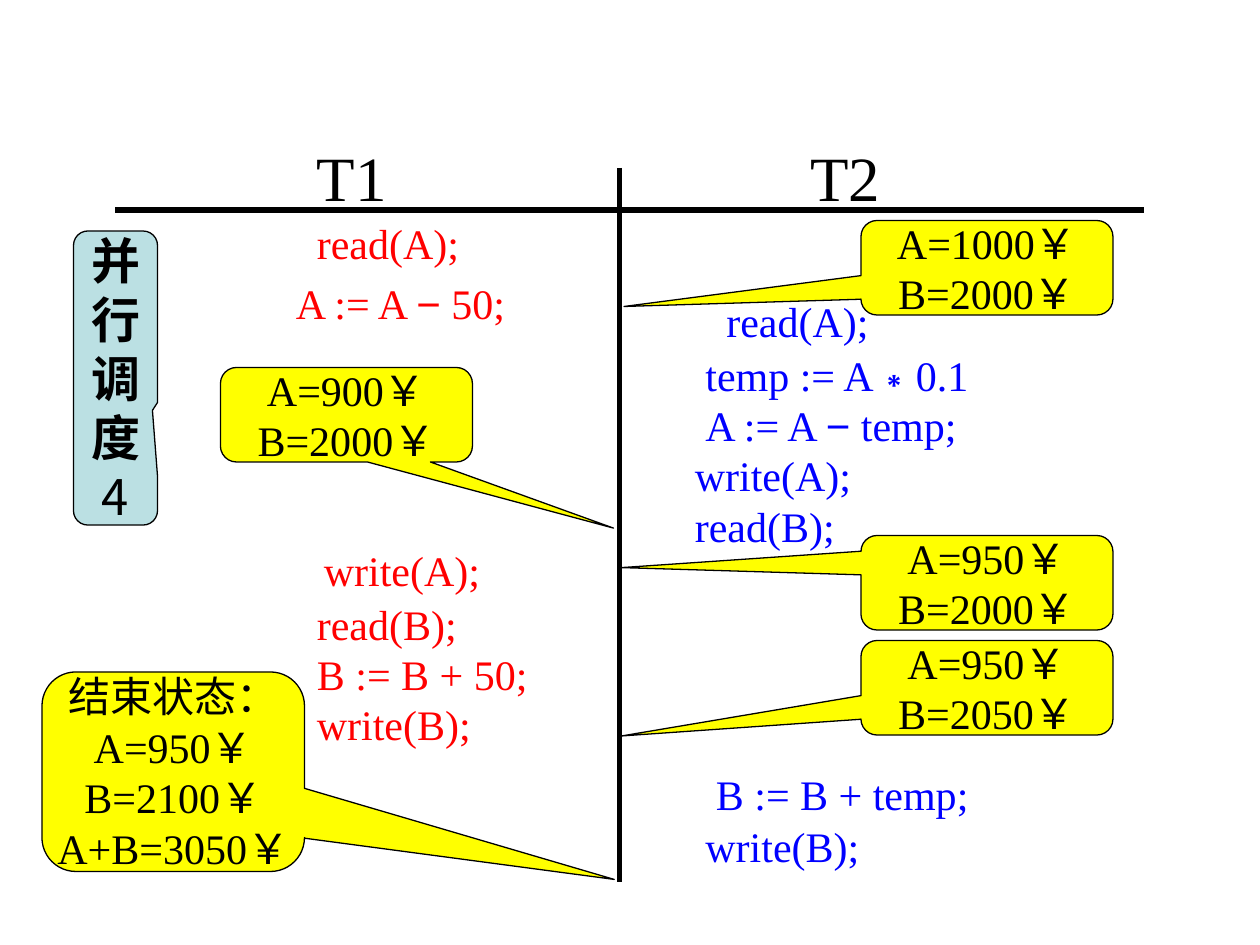
from itertools import groupby

from lxml import etree
from pptx import Presentation
from pptx.dml.color import RGBColor
from pptx.enum.shapes import MSO_CONNECTOR, MSO_SHAPE
from pptx.enum.text import MSO_ANCHOR, MSO_AUTO_SIZE, PP_ALIGN
from pptx.oxml.ns import qn
from pptx.util import Inches, Pt

LINE = MSO_CONNECTOR.STRAIGHT
BUBBLE = MSO_SHAPE.ROUNDED_RECTANGULAR_CALLOUT
MIDDLE = MSO_ANCHOR.MIDDLE
GROW = MSO_AUTO_SIZE.SHAPE_TO_FIT_TEXT
LEFT, CENTER = PP_ALIGN.LEFT, PP_ALIGN.CENTER
BLACK = RGBColor(0, 0, 0)
RED = RGBColor(255, 0, 0)
BLUE = RGBColor(0, 0, 255)
YELLOW = RGBColor(255, 255, 0)
TEAL = RGBColor(0xBB, 0xE0, 0xE3)
SERIF, SANS, HAN = "Times New Roman", "Arial", "Noto Sans CJK SC"
SIGNS = "−∗"

deck = Presentation()
deck.slide_width, deck.slide_height = Inches(10), Inches(7.5)
UNIT = deck.slide_width / 120
slide = deck.slides.add_slide(deck.slide_layouts[6])
shapes = slide.shapes


def grid(*cells):
    return [round(cell * UNIT) for cell in cells]


def write(frame, lines, align, size, color, face=SERIF):
    for row, line in enumerate(lines):
        para = frame.paragraphs[0] if row == 0 else frame.add_paragraph()
        para.alignment = align
        for sign, chars in groupby(line, lambda char: char in SIGNS):
            run = para.add_run()
            run.text = "".join(chars)
            style = {
                "name": SANS if sign else face,
                "size": Pt(size),
                "bold": face == HAN and not line.isdigit(),
            }
            for key, value in style.items():
                setattr(run.font, key, value)
            run.font.color.rgb = color
            if face == HAN:
                east = etree.SubElement(run.font._element, qn("a:ea"))
                east.set("typeface", HAN)


for ends in [(11, 20, 109, 20), (59, 16, 59, 84)]:
    rule = shapes.add_connector(LINE, *grid(*ends))
    rule.line.color.rgb = BLACK
    rule.line.width = Pt(3)
    etree.SubElement(rule._element.spPr, qn("a:effectLst"))

bubbles = [
    ((82, 21, 24, 9), (-1.44, 0.41), YELLOW, 24, SERIF, ["A=1000￥", "B=2000￥"]),
    ((4, 64, 25, 19), (1.68, 0.54), YELLOW, 24, SERIF,
     ["结束状态：", "A=950￥", "B=2100￥", "A+B=3050￥"]),
    ((21, 35, 24, 9), (1.06, 1.2), YELLOW, 24, SERIF, ["A=900￥", "B=2000￥"]),
    ((82, 51, 24, 9), (-1.45, -0.16), YELLOW, 24, SERIF, ["A=950￥", "B=2000￥"]),
    ((82, 61, 24, 9), (-1.45, 0.51), YELLOW, 24, SERIF, ["A=950￥", "B=2050￥"]),
    ((7, 22, 8, 28), (0.44, 0.11), TEAL, 28, HAN, ["并", "行", "调", "度", "4"]),
]
for place, tip, tint, size, face, lines in bubbles:
    bubble = shapes.add_shape(BUBBLE, *grid(*place))
    bubble.shadow.inherit = False
    bubble.fill.solid()
    bubble.fill.fore_color.rgb = tint
    bubble.line.color.rgb = BLACK
    bubble.line.width = Pt(0.75)
    for spot, value in enumerate((*tip, 0.17)):
        bubble.adjustments[spot] = value
    frame = bubble.text_frame
    frame.word_wrap = False
    frame.vertical_anchor = MIDDLE
    write(frame, lines, CENTER, size, BLACK, face)

for name, left in [("T1", 27), ("T2", 74)]:
    head = shapes.add_textbox(*grid(left, 12.6, 13, 8.4))
    head.text_frame.word_wrap = True
    write(head.text_frame, [name], CENTER, 36, BLACK)

steps = [
    ((21, 18.84, 40, 13.2), RED, 7.4, 5.7, [48, 36], ["read(A);", "A := A − 50;"]),
    ((60, 72, 51, 11.64), BLUE, 3.7, 1, [42, 36], ["B := B + temp;", "write(B);"]),
    ((23, 50, 40, 22.08), RED, 7.4, 2, [40, 36, 36, 36],
     ["write(A);", "read(B);", "B := B + 50;", "write(B);"]),
    ((60, 26.28, 51, 26.88), BLUE, 7.4, 2, [48, 36, 36, 30, 30],
     ["read(A);", "temp := A∗0.1", "A := A − temp;", "write(A);", "read(B);"]),
]
for place, color, drop, gap, dents, lines in steps:
    frame = shapes.add_textbox(*grid(*place)).text_frame
    frame.word_wrap = True
    frame.auto_size = GROW
    frame.margin_top = Pt(3.6 + drop)
    write(frame, lines, LEFT, 24, color)
    for para, dent in zip(frame.paragraphs, dents):
        para._p.get_or_add_pPr().set("marL", str(Pt(dent)))
    frame.paragraphs[0].space_after = Pt(gap)

deck.save("out.pptx")
